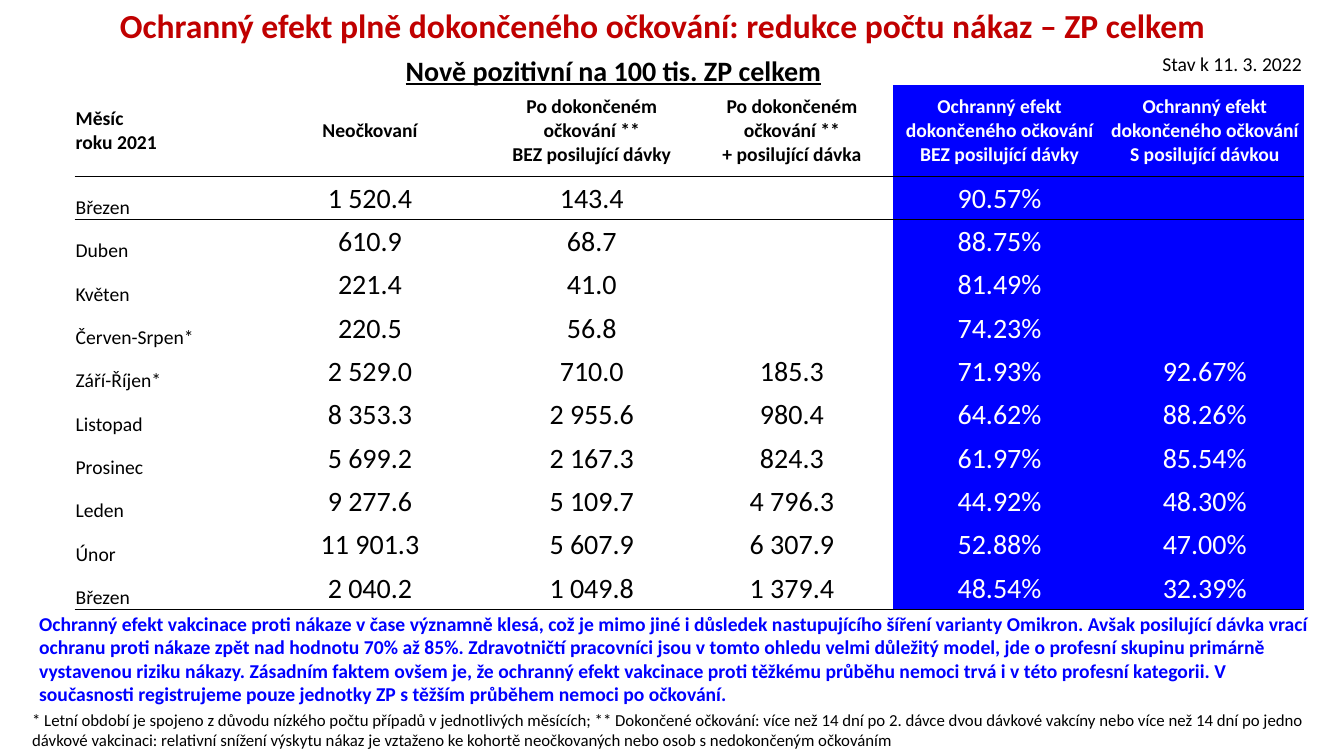
from lxml import etree
from pptx import Presentation
from pptx.dml.color import RGBColor
from pptx.enum.text import MSO_ANCHOR, MSO_AUTO_SIZE, PP_ALIGN
from pptx.oxml.ns import qn
from pptx.util import Pt

PX = 9144
FONT = "Calibri"
LEFT, CENTER = PP_ALIGN.LEFT, PP_ALIGN.CENTER
TOP, MIDDLE, BOTTOM = MSO_ANCHOR.TOP, MSO_ANCHOR.MIDDLE, MSO_ANCHOR.BOTTOM
NO_AUTOFIT = MSO_AUTO_SIZE.NONE
COLORS = {"title": "C00000", "text": "000000", "effect": "0000FF", "on_effect": "FFFFFF"}
NO_STYLE = "{2D5ABB26-0587-4C30-8999-92F81FD0307C}"

TITLE = "Ochranný efekt plně dokončeného očkování: redukce počtu nákaz – ZP celkem"
SUBTITLE = "Nově pozitivní na 100 tis. ZP celkem"
STATUS = "Stav k 11. 3. 2022"
CONCLUSION = (
    "Ochranný efekt vakcinace proti nákaze v čase významně klesá, což je mimo jiné i důsledek "
    "nastupujícího šíření varianty Omikron. Avšak posilující dávka vrací ochranu proti nákaze zpět "
    "nad hodnotu 70% až 85%. Zdravotničtí pracovníci jsou v tomto ohledu velmi důležitý model, jde o "
    "profesní skupinu primárně vystavenou riziku nákazy. Zásadním faktem ovšem je, že ochranný efekt "
    "vakcinace proti těžkému průběhu nemoci trvá i v této profesní kategorii. V současnosti "
    "registrujeme pouze jednotky ZP s těžším průběhem nemoci po očkování."
)
FOOTNOTE = (
    "* Letní období je spojeno z důvodu nízkého počtu případů v jednotlivých měsících; ** Dokončené "
    "očkování: více než 14 dní po 2. dávce dvou dávkové vakcíny nebo více než 14 dní po jedno dávkové "
    "vakcinaci: relativní snížení výskytu nákaz je vztaženo ke kohortě neočkovaných nebo osob s "
    "nedokončeným očkováním"
)
HEADERS = [
    "Měsíc\nroku 2021",
    "Neočkovaní",
    "Po dokončeném\nočkování **\nBEZ posilující dávky",
    "Po dokončeném\nočkování **\n+ posilující dávka",
    "Ochranný efekt dokončeného očkování BEZ posilující dávky",
    "Ochranný efekt dokončeného očkování S posilující dávkou",
]
MONTHS = [
    ["Březen", "1 520.4", "143.4", "", "90.57%", ""],
    ["Duben", "610.9", "68.7", "", "88.75%", ""],
    ["Květen", "221.4", "41.0", "", "81.49%", ""],
    ["Červen-Srpen*", "220.5", "56.8", "", "74.23%", ""],
    ["Září-Říjen*", "2 529.0", "710.0", "185.3", "71.93%", "92.67%"],
    ["Listopad", "8 353.3", "2 955.6", "980.4", "64.62%", "88.26%"],
    ["Prosinec", "5 699.2", "2 167.3", "824.3", "61.97%", "85.54%"],
    ["Leden", "9 277.6", "5 109.7", "4 796.3", "44.92%", "48.30%"],
    ["Únor", "11 901.3", "5 607.9", "6 307.9", "52.88%", "47.00%"],
    ["Březen", "2 040.2", "1 049.8", "1 379.4", "48.54%", "32.39%"],
]
COLUMN_WIDTHS = [171, 244, 196, 201, 211, 196]
ROW_HEIGHTS = [43, 91] + [43] * len(MONTHS)
FIRST_EFFECT_COLUMN = 4


def emu(box):
    """Turn a box of px lengths into EMU."""
    return [length * PX for length in box]


def write(frame, text, size, color, bold=False, align=LEFT, underline=False):
    """Fill a text frame with one paragraph per line of text."""
    frame.text = text
    for para in frame.paragraphs:
        para.alignment = align
        font = para.font
        font.name, font.size, font.bold, font.underline = FONT, Pt(size), bold, underline
        font.color.rgb = RGBColor.from_string(COLORS[color])


def add_title(page, box):
    """Place and format the title placeholder."""
    title = page.shapes.title
    title.left, title.top, title.width, title.height = emu(box)
    frame = title.text_frame
    frame.auto_size, frame.vertical_anchor = NO_AUTOFIT, TOP
    write(frame, TITLE, 24, "title", True, CENTER)
    frame.paragraphs[0].line_spacing = 0.9


def add_text(page, box, text, size, color, **style):
    """Add a wrapping text box."""
    frame = page.shapes.add_textbox(*emu(box)).text_frame
    frame.word_wrap = True
    write(frame, text, size, color, **style)


def add_border(cell, side):
    """Draw a thin black line along the top (T) or bottom (B) of a cell."""
    line = etree.Element(qn(f"a:ln{side}"), w=str(Pt(1)))
    fill = etree.SubElement(line, qn("a:solidFill"))
    etree.SubElement(fill, qn("a:srgbClr"), val=COLORS["text"])
    cell._tc.get_or_add_tcPr().insert(0, line)


def format_cell(cell, text, row, column):
    """Write one header or month cell and set its fill."""
    is_header, is_effect = row == 1, column >= FIRST_EFFECT_COLUMN
    if is_effect:
        cell.fill.solid()
        cell.fill.fore_color.rgb = RGBColor.from_string(COLORS["effect"])
    else:
        cell.fill.background()
    if text:
        cell.margin_left = cell.margin_right = cell.margin_top = PX
        cell.margin_bottom = 0
        cell.vertical_anchor = MIDDLE if is_header or column else BOTTOM
        write(cell.text_frame, text, 14 if is_header or not column else 20,
              "on_effect" if is_effect else "text", is_header, CENTER if column else LEFT)


def add_effect_table(page, left, top):
    """Add the monthly table of infections and protective effect."""
    box = left, top, sum(COLUMN_WIDTHS), sum(ROW_HEIGHTS)
    shape = page.shapes.add_table(len(ROW_HEIGHTS), len(COLUMN_WIDTHS), *emu(box))
    table = shape.table
    table.first_row = table.horz_banding = False
    next(shape._element.iter(qn("a:tableStyleId"))).text = NO_STYLE
    for column, width in zip(table.columns, COLUMN_WIDTHS):
        column.width = width * PX
    for row, height in zip(table.rows, ROW_HEIGHTS):
        row.height = height * PX
    for cell in table.rows[0].cells:
        cell.fill.background()
    table.cell(0, 1).merge(table.cell(0, 4))
    border_sides = {1: "B", 2: "T", len(ROW_HEIGHTS) - 1: "B"}
    for row, texts in enumerate([HEADERS] + MONTHS, 1):
        for column, text in enumerate(texts):
            cell = table.cell(row, column)
            format_cell(cell, text, row, column)
            if row in border_sides:
                add_border(cell, border_sides[row])


def main():
    """Build the deck and save it."""
    deck = Presentation()
    deck.slide_width, deck.slide_height = emu((1333, 750))
    page = deck.slides.add_slide(deck.slide_layouts[5])
    add_title(page, (22, 4, 1270, 145))
    add_text(page, (387, 48, 443, 44), SUBTITLE, 20, "text", bold=True, align=CENTER, underline=True)
    add_text(page, (22, 699, 1299, 50), FOOTNOTE, 12, "text")
    add_text(page, (29, 602, 1287, 104), CONCLUSION, 14, "effect", bold=True)
    add_effect_table(page, 74, 41)
    add_text(page, (1143, 47, 190, 34), STATUS, 14, "text")
    deck.save("out.pptx")


if __name__ == "__main__":
    main()
